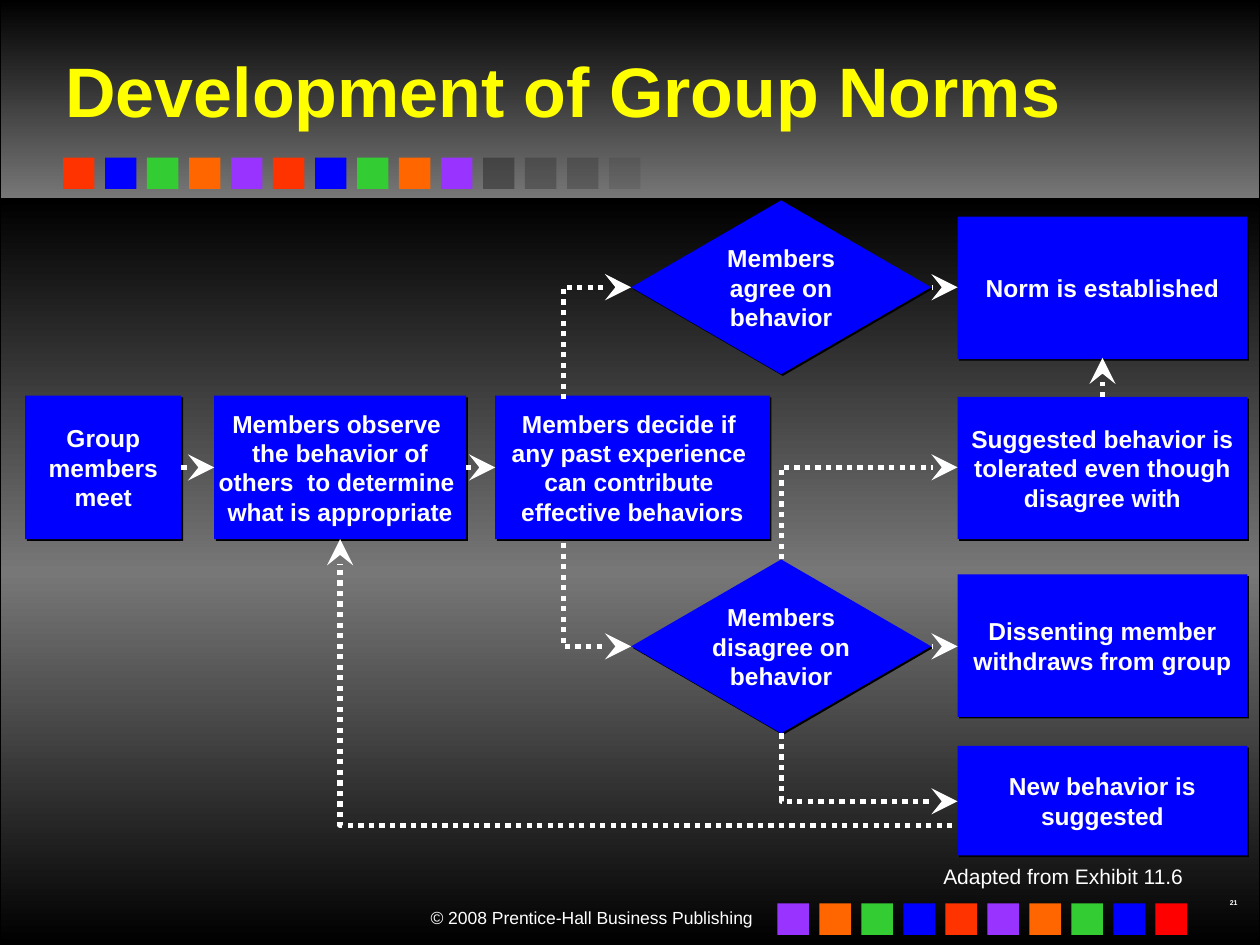
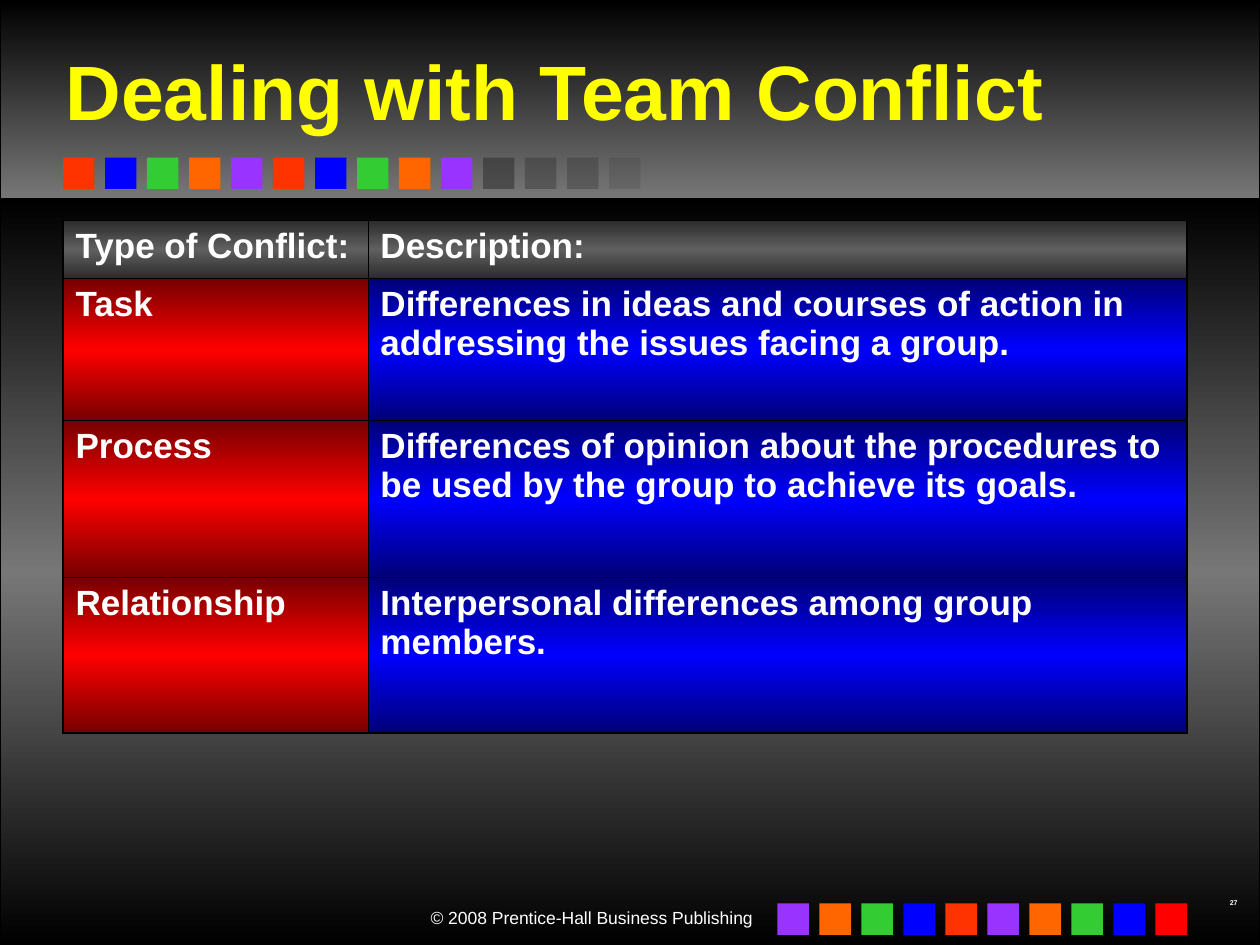
from lxml import etree
from pptx import Presentation
from pptx.dml.color import RGBColor
from pptx.enum.dml import MSO_LINE
from pptx.enum.shapes import MSO_CONNECTOR, MSO_SHAPE
from pptx.enum.text import MSO_ANCHOR, MSO_AUTO_SIZE, PP_ALIGN
from pptx.oxml.ns import qn
from pptx.util import Inches, Pt

RECT, DIAMOND = MSO_SHAPE.RECTANGLE, MSO_SHAPE.DIAMOND
STRAIGHT, ELBOW = MSO_CONNECTOR.STRAIGHT, MSO_CONNECTOR.ELBOW
LEFT, CENTER, RIGHT = PP_ALIGN.LEFT, PP_ALIGN.CENTER, PP_ALIGN.RIGHT
TOP, MIDDLE = MSO_ANCHOR.TOP, MSO_ANCHOR.MIDDLE
DOTS = MSO_LINE.ROUND_DOT

HUES = {
    "black": "000000", "white": "FFFFFF", "yellow": "FFFF00",
    "blue": "0000FF", "navy": "000076", "red": "FF0000", "maroon": "760000",
    "flame": "FF3300", "green": "33CC33", "orange": "FF6600",
    "violet": "9933FF", "gray": "777777", "coal": "292929",
    "iron": "2C2C2C", "steel": "5F5F5F",
}

FONTS = {
    "title": {"name": "Arial", "size": Pt(40), "bold": True},
    "node": {"name": "Arial", "size": Pt(14), "bold": True},
    "cell": {"name": "Arial", "size": Pt(20), "bold": True},
    "page": {"name": "Arial", "size": Pt(4), "bold": True},
    "note": {"name": "Arial", "size": Pt(12), "bold": False},
    "foot": {"name": "Arial", "size": Pt(10), "bold": False},
}

STEP = 1 / 3
CYCLE = ["flame", "blue", "green", "orange", "violet"]
FADES = [50, 35, 30, 15]


def rgb(hue):
    return RGBColor.from_string(HUES[hue])


def add(parent, tag, **attrs):
    return etree.SubElement(parent, qn(tag), attrs)


def shade(owner, root, hues):
    owner.fill.gradient()
    grad = root.find(".//" + qn("a:gradFill"))
    stops = grad.find(qn("a:gsLst"))
    stops.clear()
    for i, hue in enumerate(hues):
        stop = add(stops, "a:gs", pos=str(100000 * i // (len(hues) - 1)))
        add(stop, "a:srgbClr", val=HUES[hue])
    grad.find(qn("a:lin")).set("ang", "5400000")


def cast(effects, dist):
    drop = add(effects, "a:outerShdw", blurRad="0", dist=str(Pt(dist)),
               dir="2700000", algn="tl", rotWithShape="0")
    add(drop, "a:srgbClr", val=HUES["black"])


def style(font, kind, hue="white"):
    for key, value in FONTS[kind].items():
        setattr(font, key, value)
    font.color.rgb = rgb(hue)


def write(frame, text, kind, align=LEFT, anchor=TOP, hue="white"):
    frame.text = text
    frame.word_wrap = True
    frame.vertical_anchor = anchor
    for para in frame.paragraphs:
        para.alignment = align
        for run in para.runs:
            style(run.font, kind, hue)


def label(slide, box, text, kind):
    shape = slide.shapes.add_textbox(*map(Inches, box))
    write(shape.text_frame, text, kind, RIGHT)
    return shape


def block(slide, box, hue=None, form=RECT):
    shape = slide.shapes.add_shape(form, *map(Inches, box))
    shape.shadow.inherit = False
    shape.line.fill.background()
    if hue:
        shape.fill.solid()
        shape.fill.fore_color.rgb = rgb(hue)
    return shape


def band(slide, top, height, hues):
    shape = block(slide, (0, top, 10, height))
    shade(shape, shape.element, hues)
    shape.line.color.rgb = rgb("black")
    shape.line.width = Pt(0.75)


def strip(slide, left, top, hues):
    return [block(slide, (left + i * STEP, top, 0.25, 0.25), hue)
            for i, hue in enumerate(hues)]


def dress(slide):
    start = len(slide.shapes)
    band(slide, 0, 1.58, ["black", "gray"])
    band(slide, 1.58, 5.92, ["black", "gray", "black"])
    label(slide, (2.92, 7.15, 3.15, 0.27),
          "© 2008 Prentice-Hall Business Publishing", "foot")
    tiles = strip(slide, 0.5, 1.25, CYCLE * 2 + ["coal"] * len(FADES))
    for tile, fade in zip(tiles[-len(FADES):], FADES):
        color = tile.element.spPr.find(".//" + qn("a:srgbClr"))
        add(color, "a:alpha", val=str(fade * 1000))
    back = CYCLE[::-1]
    strip(slide, 6.17, 7.17, back + back[:-1] + ["red"])
    tree = slide.slide_layout.shapes.element
    for i, shape in enumerate(list(slide.shapes)[start:]):
        shape.element.nvSpPr.cNvPr.set("id", str(100 + i))
        tree.insert(2 + i, shape.element)


def head(slide, text, size, page):
    title = slide.shapes.title
    title.left, title.top, title.width, title.height = map(
        Inches, (0.42, 0.25, 9.42, 0.92))
    frame = title.text_frame
    write(frame, text, "title", LEFT, MIDDLE, "yellow")
    frame.auto_size = MSO_AUTO_SIZE.NONE
    run = frame.paragraphs[0].runs[0]
    run.font.size = Pt(size)
    effects = etree.Element(qn("a:effectLst"))
    cast(effects, 2)
    run.font.fill
    run._r.rPr.find(qn("a:solidFill")).addnext(effects)
    label(slide, (9.42, 7.08, 0.5, 0.17), page, "page")


def node(slide, box, text, form=RECT, inset=0.1):
    shape = block(slide, box, "blue", form)
    cast(shape.element.spPr.find(qn("a:effectLst")), 1.4)
    frame = shape.text_frame
    frame.margin_left = frame.margin_right = Inches(inset)
    write(frame, text, "node", CENTER, MIDDLE)


def arrow(slide, ends, form=STRAIGHT):
    link = slide.shapes.add_connector(form, *map(Inches, ends))
    link.line.color.rgb = rgb("white")
    link.line.width = Pt(3)
    link.line.dash_style = DOTS
    props = link.element.spPr
    add(props.find(qn("a:ln")), "a:tailEnd", type="stealth", w="lg", len="lg")
    add(props, "a:effectLst")
    if form == ELBOW:
        props.find(qn("a:prstGeom")).set("prst", "bentConnector2")
    return link


def turn(slide, x1, y1, x2, y2):
    midx, midy = (x1 + x2) / 2, (y1 + y2) / 2
    half, tall = abs(y2 - y1) / 2, (x2 - x1) / 2
    rise = y2 < y1
    if rise:
        tall = -tall
    link = arrow(slide, (midx + half, midy - tall, midx - half, midy + tall),
                 ELBOW)
    link.rotation = 90 if rise else 270


def norms(slide):
    head(slide, "Development of Group Norms", 40, "21")
    row, high = 3.14, 1.14
    node(slide, (0.2, row, 1.24, high), "Group members meet")
    node(slide, (1.7, row, 2, high),
         "Members observe \nthe behavior of\nothers  to determine \n"
         "what is appropriate", inset=0)
    node(slide, (3.93, row, 2.18, high),
         "Members decide if \nany past experience \ncan contribute \n"
         "effective behaviors", inset=0)
    for top, text in [(1.59, "Members agree on behavior"),
                      (4.44, "Members disagree on behavior")]:
        node(slide, (5.01, top, 2.38, 1.38), text, DIAMOND, 0)
    for top, tall, text in [
        (1.72, 1.13, "Norm is established"),
        (3.15, 1.13,
         "Suggested behavior is tolerated even though disagree with"),
        (4.56, 1.13, "Dissenting member withdraws from group"),
        (5.92, 0.87, "New behavior is suggested"),
    ]:
        node(slide, (7.6, top, 2.3, tall), text)
    for ends in [(1.44, 3.71, 1.7, 3.71), (3.7, 3.71, 3.93, 3.71),
                 (7.4, 5.13, 7.6, 5.13), (8.75, 3.15, 8.75, 2.84),
                 (7.4, 2.28, 7.6, 2.28)]:
        arrow(slide, ends)
    for ends in [(6.2, 4.44, 7.6, 3.71), (6.2, 5.82, 7.6, 6.36),
                 (4.47, 3.17, 5.01, 2.28), (4.47, 4.31, 5.01, 5.13)]:
        turn(slide, *ends)
    arrow(slide, (7.56, 6.55, 2.7, 4.28), ELBOW)
    note = label(slide, (7.08, 6.83, 2.41, 0.28),
                 "Adapted from Exhibit 11.6", "note")
    note.text_frame.paragraphs[0].line_spacing = 0.9


def edge(cell, sides):
    props = cell._tc.get_or_add_tcPr()
    for i, (side, outer) in enumerate(sides.items()):
        line = etree.Element(qn("a:ln" + side),
                             w=str(Pt(1.08 if outer else 0.45)))
        add(add(line, "a:solidFill"), "a:srgbClr", val=HUES["black"])
        props.insert(i, line)


def grid(slide, box, wide, high, rows):
    table = slide.shapes.add_table(
        len(rows), len(wide), *map(Inches, box)).table
    table.first_row = table.horz_banding = False
    for col, size in zip(table.columns, wide):
        col.width = Inches(size)
    for r, texts in enumerate(rows):
        table.rows[r].height = Inches(high[r])
        for c, text in enumerate(texts):
            cell = table.cell(r, c)
            write(cell.text_frame, text, "cell")
            dark, light = (("iron", "steel") if r == 0 else
                           [("maroon", "red"), ("navy", "blue")][c])
            shade(cell, cell._tc, [dark, light, dark])
            edge(cell, {"L": c == 0, "R": c == len(wide) - 1,
                        "T": r == 0, "B": r == len(rows) - 1})


def clash(slide):
    head(slide, "Dealing with Team Conflict", 44, "27")
    grid(slide, (0.5, 1.75, 8.92, 4.07), [2.42, 6.5],
         [0.46, 1.13, 1.24, 1.24], [
        ("Type of Conflict:", "Description:"),
        ("Task", "Differences in ideas and courses of action in "
                 "addressing the issues facing a group."),
        ("Process", "Differences of opinion about the procedures to "
                    "be used by the group to achieve its goals."),
        ("Relationship", "Interpersonal differences among group members."),
    ])


def main():
    deck = Presentation()
    deck.slide_width, deck.slide_height = Inches(10), Inches(7.5)
    layout = deck.slide_layouts[5]
    first, second = (deck.slides.add_slide(layout) for _ in range(2))
    dress(first)
    norms(first)
    clash(second)
    deck.save("out.pptx")


if __name__ == "__main__":
    main()
